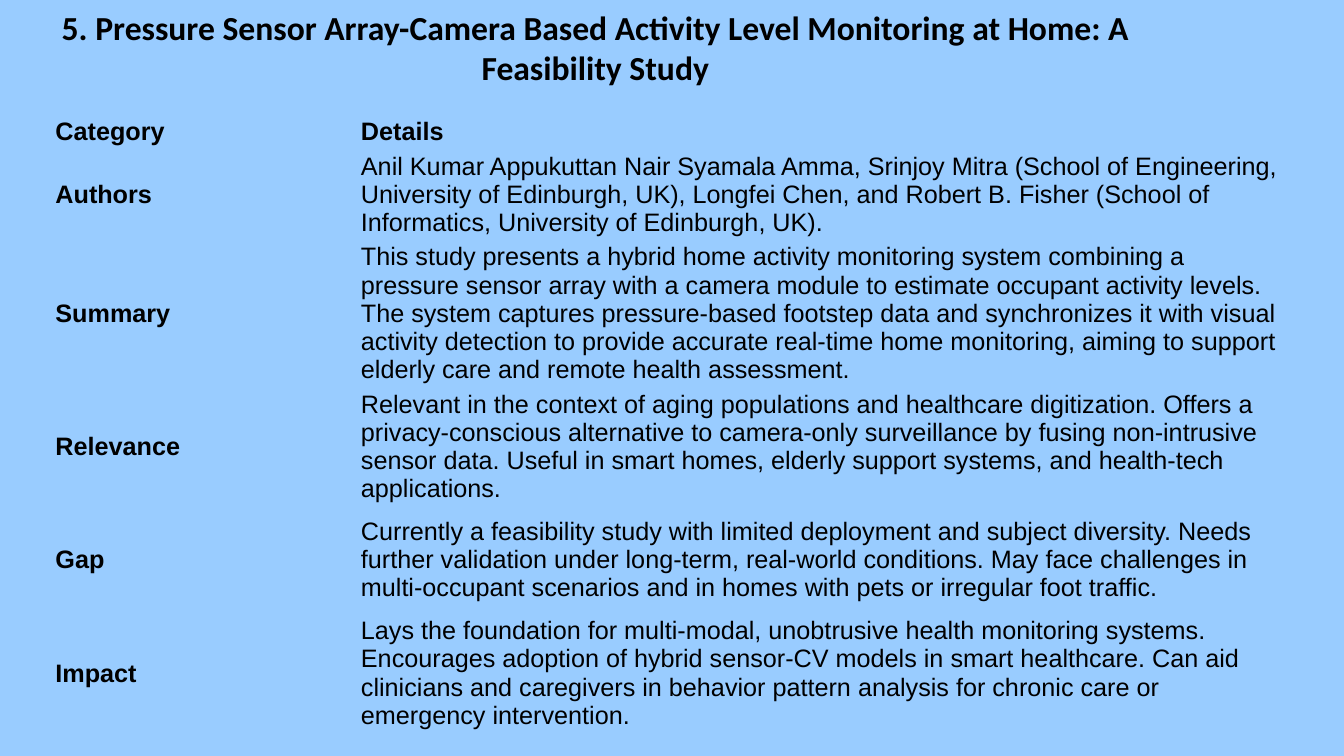
import pptx
import pptx.dml.color
import pptx.enum.text
import pptx.util

PX = 9144  # 100 px to the inch
NO_GRID_STYLE = "{2D5ABB26-0587-4C30-8999-92F81FD0307C}"

TITLE = ("5. Pressure Sensor Array-Camera Based Activity Level Monitoring "
         "at Home: A Feasibility Study")

# Row height in px, category, details
ROWS = [
    (33, "Category", "Details"),
    (90, "Authors",
     "Anil Kumar Appukuttan Nair Syamala Amma, Srinjoy Mitra (School of Engineering, "
     "University of Edinburgh, UK), Longfei Chen, and Robert B. Fisher (School of "
     "Informatics, University of Edinburgh, UK)."),
    (146, "Summary",
     "This study presents a hybrid home activity monitoring system combining a pressure "
     "sensor array with a camera module to estimate occupant activity levels. The system "
     "captures pressure-based footstep data and synchronizes it with visual activity "
     "detection to provide accurate real-time home monitoring, aiming to support elderly "
     "care and remote health assessment."),
    (118, "Relevance",
     "Relevant in the context of aging populations and healthcare digitization. Offers a "
     "privacy-conscious alternative to camera-only surveillance by fusing non-intrusive "
     "sensor data. Useful in smart homes, elderly support systems, and health-tech "
     "applications."),
    (107, "Gap",
     "Currently a feasibility study with limited deployment and subject diversity. Needs "
     "further validation under long-term, real-world conditions. May face challenges in "
     "multi-occupant scenarios and in homes with pets or irregular foot traffic."),
    (116, "Impact",
     "Lays the foundation for multi-modal, unobtrusive health monitoring systems. "
     "Encourages adoption of hybrid sensor-CV models in smart healthcare. Can aid "
     "clinicians and caregivers in behavior pattern analysis for chronic care or "
     "emergency intervention."),
]


def px(n):
    return pptx.util.Emu(n * PX)


def rgb(value):
    return pptx.dml.color.RGBColor.from_string(value)


def set_attrs(obj, values):
    for name, value in values.items():
        setattr(obj, name, value)


def write(tf, text, font, size, bold):
    p = tf.paragraphs[0]
    r = p.add_run()
    r.text = text
    set_attrs(r.font, {"name": font, "size": pptx.util.Pt(size), "bold": bold})
    r.font.color.rgb = rgb("000000")
    return p


def add_title(s, x, y, w, h):
    sp = s.shapes.title
    set_attrs(sp, {"left": px(x), "top": px(y), "width": px(w), "height": px(h)})
    tf = sp.text_frame
    set_attrs(tf, {"word_wrap": True,
                   "auto_size": pptx.enum.text.MSO_AUTO_SIZE.NONE,
                   "vertical_anchor": pptx.enum.text.MSO_ANCHOR.MIDDLE})
    p = write(tf, TITLE, "Calibri", 24, True)
    p.alignment = pptx.enum.text.PP_ALIGN.CENTER


def add_review_table(s, x, y, w, category_w):
    height = sum(row[0] for row in ROWS)
    frame = s.shapes.add_table(len(ROWS), 2, px(x), px(y), px(w), px(height))
    table = frame.table
    # Plain style without bands or grid lines
    set_attrs(table, {"first_row": False, "horz_banding": False})
    frame._element.xpath(".//a:tableStyleId")[0].text = NO_GRID_STYLE
    table.columns[0].width = px(category_w)
    table.columns[1].width = px(w - category_w)
    cell_format = {"margin_left": px(6), "margin_right": px(6),
                   "margin_top": px(3), "margin_bottom": px(3),
                   "vertical_anchor": pptx.enum.text.MSO_ANCHOR.MIDDLE}
    for i, (row_h, *texts) in enumerate(ROWS):
        table.rows[i].height = px(row_h)
        for j, text in enumerate(texts):
            cell = table.cell(i, j)
            set_attrs(cell, cell_format)
            cell.fill.background()
            write(cell.text_frame, text, "Arial", 18, i == 0 or j == 0)


def main():
    prs = pptx.Presentation()
    set_attrs(prs, {"slide_width": px(1333), "slide_height": px(750)})
    s = prs.slides.add_slide(prs.slide_layouts.get_by_name("Title Only"))
    # Background
    s.background.fill.solid()
    s.background.fill.fore_color.rgb = rgb("99CCFF")
    # Title and table
    add_title(s, 19, 12, 1143, 70)
    add_review_table(s, 49, 114, 1236, 303)
    prs.save("out.pptx")


if __name__ == "__main__":
    main()
